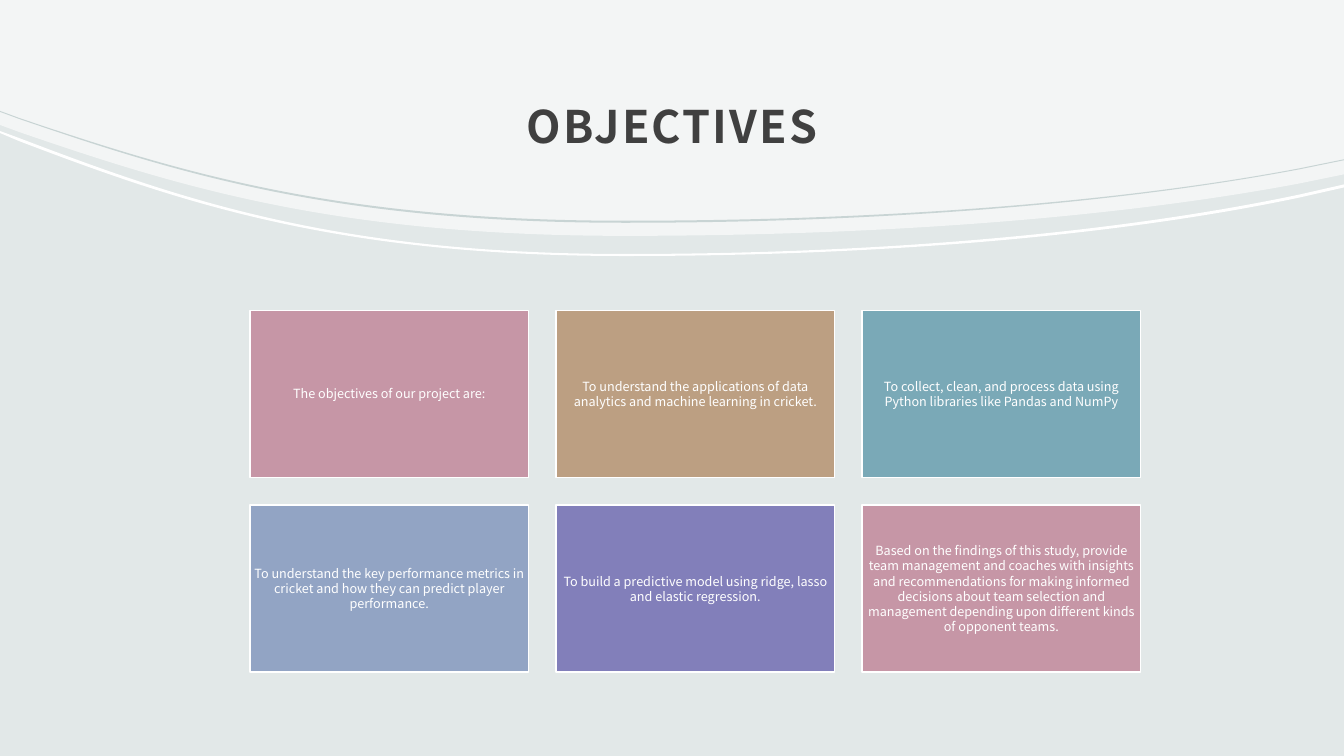
from dataclasses import dataclass

from lxml import etree
from pptx import Presentation
from pptx.dml.color import RGBColor
from pptx.enum.shapes import MSO_SHAPE
from pptx.enum.text import MSO_ANCHOR, PP_ALIGN
from pptx.oxml.ns import qn
from pptx.util import Inches, Pt

RECTANGLE = MSO_SHAPE.RECTANGLE
MIDDLE = MSO_ANCHOR.MIDDLE
CENTER = PP_ALIGN.CENTER


@dataclass(frozen=True)
class Theme:
    font: str = "Noto Sans CJK JP"
    background: str = "E2E8E8"
    white: str = "FFFFFF"
    title: str = "404040"
    hairline: str = "C8D4D4"
    cards: tuple = ("C696A6", "BC9F82", "7AA9B7", "92A4C4", "827FBA")
    title_size: int = 32
    card_size: int = 9


THEME = Theme()
SLIDE_WIDTH, SLIDE_HEIGHT = 13.33, 7.5

# Each wave is a straight start, two Bezier segments and a straight end.
WAVE_X = (0, 0.19, 1.79, 3.33, 6.2, 8.75, 11.09, 12.89, SLIDE_WIDTH)
WAVE_CURVES = (2, 5)  # where the three points of each Bezier segment begin
HEADER_EDGE = (1.24, 1.31, 1.86, 2.34, 2.34, 2.34, 2.16, 1.82, 1.73)
WHITE_TOP = (1.3, 1.37, 1.98, 2.52, 2.52, 2.52, 2.31, 1.93, 1.83)
WHITE_BOTTOM = (1.32, 1.4, 2.01, 2.54, 2.54, 2.54, 2.34, 1.96, 1.86)
HAIRLINE_TOP = (1.1, 1.17, 1.71, 2.19, 2.19, 2.19, 2.01, 1.67, 1.58)
HAIRLINE_BOTTOM = (1.11, 1.18, 1.73, 2.21, 2.21, 2.21, 2.02, 1.68, 1.59)

OBJECTIVES = (
    "The objectives of our project are:",
    "To understand the applications of data analytics and machine learning in cricket.",
    "To collect, clean, and process data using Python libraries like Pandas and NumPy",
    "To understand the key performance metrics in cricket and how they can predict "
    "player performance.",
    "To build a predictive model using ridge, lasso and elastic regression.",
    "Based on the findings of this study, provide team management and coaches with "
    "insights and recommendations for making informed decisions about team selection "
    "and management depending upon different kinds of opponent teams.",
)


def color(value):
    return RGBColor.from_string(value)


def wave(heights):
    return list(zip(WAVE_X, heights))


def curve_segments(shape, starts):
    """Turn each run of three line segments into one cubic Bezier segment."""
    outline = shape._element.find(f".//{qn('a:path')}")
    segments = list(outline)
    for start in starts:
        curve = etree.Element(qn("a:cubicBezTo"))
        segments[start].addprevious(curve)
        for segment in segments[start:start + 3]:
            curve.append(segment[0])
            outline.remove(segment)


def add_band(slide, top, bottom, fill, opacity=None):
    """Fill the area between two edges that both run from left to right."""
    outline = [(Inches(x), Inches(y)) for x, y in top + bottom[::-1]]
    builder = slide.shapes.build_freeform(*outline[0])
    builder.add_line_segments(outline[1:], close=True)
    band = builder.convert_to_shape()
    curve_segments(band, [
        offset + start
        for offset, edge in ((0, top), (len(top), bottom))
        if len(edge) == len(WAVE_X)
        for start in WAVE_CURVES
    ])
    band.shadow.inherit = False
    band.fill.solid()
    band.fill.fore_color.rgb = color(fill)
    band.line.fill.background()
    if opacity is not None:
        color_element = band._element.spPr.find(f".//{qn('a:srgbClr')}")
        alpha = etree.SubElement(color_element, qn("a:alpha"))
        alpha.set("val", str(opacity * 1000))


def write_text(shape, text, size, text_color, margins, line_spacing):
    """Write one centred paragraph; margins are left, top, right, bottom."""
    frame = shape.text_frame
    frame.word_wrap = True
    frame.vertical_anchor = MIDDLE
    (frame.margin_left, frame.margin_top,
     frame.margin_right, frame.margin_bottom) = map(Inches, margins)
    paragraph = frame.paragraphs[0]
    paragraph.alignment = CENTER
    paragraph.line_spacing = line_spacing
    run = paragraph.add_run()
    run.text = text
    run.font.name = THEME.font
    run.font.size = Pt(size)
    run.font.color.rgb = color(text_color)
    return run


def add_title(slide, text, left, top, width, height):
    box = slide.shapes.add_textbox(*map(Inches, (left, top, width, height)))
    run = write_text(box, text, THEME.title_size, THEME.title,
                     (0.12, 0.12, 0.12, 0.1), 1.3)
    run.font.bold = True
    run.font._element.set("spc", "150")


def add_card(slide, text, fill, left, top, width, height):
    card = slide.shapes.add_shape(
        RECTANGLE, *map(Inches, (left, top, width, height)))
    card.shadow.inherit = False
    card.fill.solid()
    card.fill.fore_color.rgb = color(fill)
    card.line.color.rgb = color(THEME.white)
    card.line.width = Pt(1)
    write_text(card, text, THEME.card_size, THEME.white, (0.04,) * 4, 1.0)


def add_card_grid(slide, texts, left, top, width, columns=3):
    """Fit cards into the width, with gaps a tenth and heights 0.6 of a card."""
    card_width = width / (columns + 0.1 * (columns - 1))
    card_height = 0.6 * card_width
    gap = 0.1 * card_width
    for index, text in enumerate(texts):
        row, column = divmod(index, columns)
        add_card(slide, text, THEME.cards[index % len(THEME.cards)],
                 left + column * (card_width + gap),
                 top + row * (card_height + gap),
                 card_width, card_height)


def add_objectives_slide(presentation):
    slide = presentation.slides.add_slide(presentation.slide_layouts[6])
    slide.background.fill.solid()
    slide.background.fill.fore_color.rgb = color(THEME.background)
    slide_top = [(0, 0), (SLIDE_WIDTH, 0)]
    add_band(slide, slide_top, wave(HEADER_EDGE), THEME.white, opacity=60)
    add_band(slide, wave(WHITE_TOP), wave(WHITE_BOTTOM), THEME.white)
    add_title(slide, "OBJECTIVES", 1.33, 0.59, 10.67, 1.14)
    add_band(slide, wave(HAIRLINE_TOP), wave(HAIRLINE_BOTTOM), THEME.hairline)
    add_card_grid(slide, OBJECTIVES, 2.48, 3.08, 8.83)


def main():
    presentation = Presentation()
    presentation.slide_width = Inches(SLIDE_WIDTH)
    presentation.slide_height = Inches(SLIDE_HEIGHT)
    add_objectives_slide(presentation)
    presentation.save("out.pptx")


if __name__ == "__main__":
    main()
